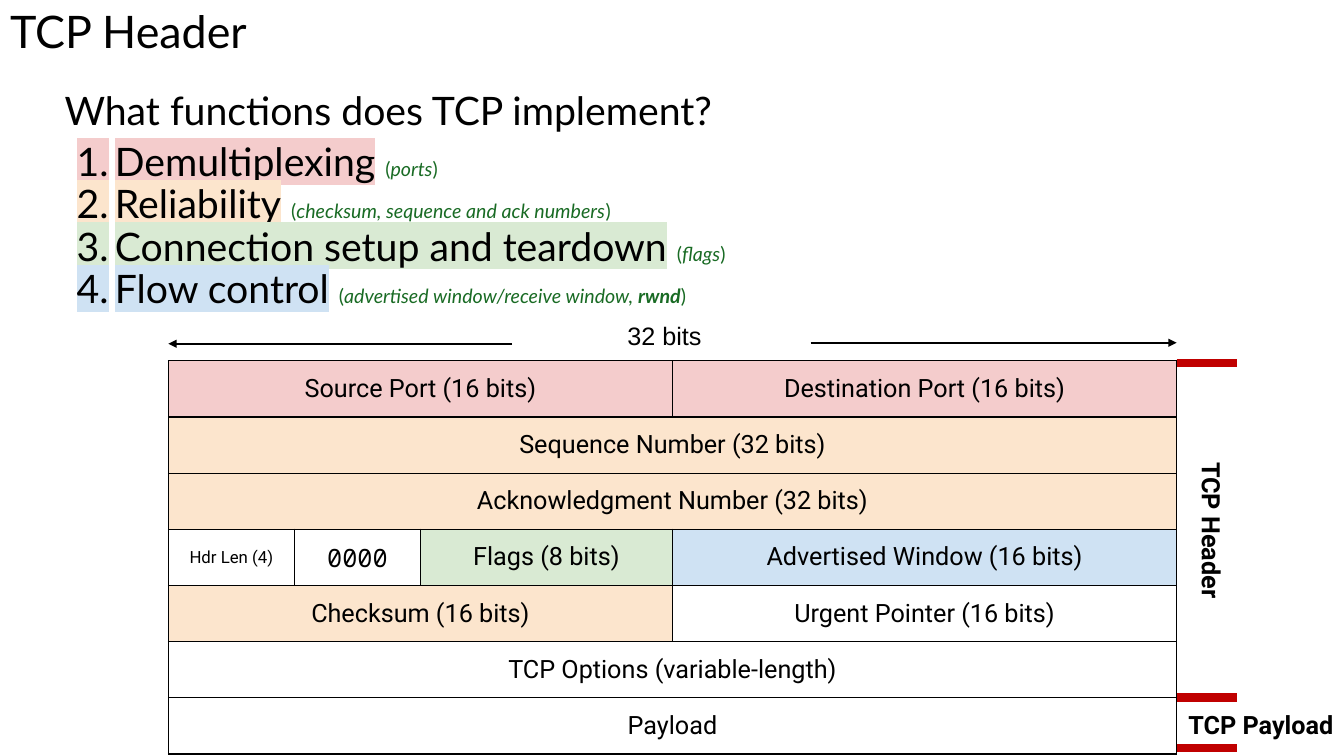
import dataclasses

import lxml.etree
import pptx
import pptx.dml.color
import pptx.enum.shapes
import pptx.enum.text
import pptx.oxml.ns
import pptx.presentation
import pptx.shapes.autoshape
import pptx.slide
import pptx.table
import pptx.text.text
import pptx.util

Inches = pptx.util.Inches
Pt = pptx.util.Pt
RGBColor = pptx.dml.color.RGBColor
Align = pptx.enum.text.PP_ALIGN
Anchor = pptx.enum.text.MSO_ANCHOR
Fit = pptx.enum.text.MSO_AUTO_SIZE
qn = pptx.oxml.ns.qn

BLACK = RGBColor(0x00, 0x00, 0x00)
PINK = RGBColor(0xF4, 0xCC, 0xCC)
PEACH = RGBColor(0xFC, 0xE5, 0xCD)
MINT = RGBColor(0xD9, 0xEA, 0xD3)
SKY = RGBColor(0xCF, 0xE2, 0xF3)
GREEN = RGBColor(0x19, 0x6B, 0x24)
RED = RGBColor(0xC0, 0x00, 0x00)

LEFT, TOP, WIDTH, HEIGHT = 1.67, 3.58, 10, 3.9
RIGHT = LEFT + WIDTH
EDGES = [0, 4, 8, 16, 32]  # bit offsets of the column borders


@dataclasses.dataclass
class Task:
    name: str
    note: str
    tint: RGBColor
    bold: str = ""


@dataclasses.dataclass
class Field:
    text: str
    bits: int
    tint: RGBColor | None = None
    size: int = 18
    font: str = "Roboto"


@dataclasses.dataclass
class Label:
    text: str
    box: tuple[float, float, float, float]
    font: str = "Roboto"
    bold: bool = True
    wrap: bool = True
    inset: float = 0.1
    turn: int = 0


@dataclasses.dataclass
class Line:
    start: tuple[float, float]
    end: tuple[float, float]
    color: RGBColor = RED
    width: float = 6
    arrow: bool = False


TASKS = [
    Task("Demultiplexing", "ports", PINK),
    Task("Reliability", "checksum, sequence and ack numbers", PEACH),
    Task("Connection setup and teardown", "flags", MINT),
    Task("Flow control", "advertised window/receive window, ", SKY, "rwnd"),
]
ROWS = [
    [Field("Source Port (16 bits)", 16, PINK), Field("Destination Port (16 bits)", 16, PINK)],
    [Field("Sequence Number (32 bits)", 32, PEACH)],
    [Field("Acknowledgment Number (32 bits)", 32, PEACH)],
    [Field("Hdr Len (4)", 4, size=12), Field("0000", 4, font="Noto Sans Mono"),
     Field("Flags (8 bits)", 8, MINT), Field("Advertised Window (16 bits)", 16, SKY)],
    [Field("Checksum (16 bits)", 16, PEACH), Field("Urgent Pointer (16 bits)", 16)],
    [Field("TCP Options (variable-length)", 32)],
    [Field("Payload", 32)],
]
LABELS = [
    Label("32 bits", (5.5, 3.13, 2.18, 0.4), "Arial", False, False, 0.05),
    Label("TCP Header", (11.22, 5.01, 1.6, 0.5), turn=90),
    Label("TCP Payload", (RIGHT, 6.94, 1.67, 0.5)),
]
LINES = [
    Line((8.04, 3.4), (RIGHT, 3.4), BLACK, 1.5, True),
    Line((5.08, 3.41), (LEFT, 3.41), BLACK, 1.5, True),
] + [Line((RIGHT, y), (RIGHT + 0.6, y)) for y in (3.6, 6.92, 7.42)]


def style(run: pptx.text.text._Run, size: int, font: str = "Lato",
          color: RGBColor = BLACK, bold: bool = False, slant: bool = False) -> None:
    run.font.size = Pt(size)
    run.font.name = font
    run.font.color.rgb = color
    run.font.bold = bold
    run.font.italic = slant


def mark(run: pptx.text.text._Run, tint: RGBColor) -> None:
    """Highlight a run that already has a colour."""
    light = lxml.etree.Element(qn("a:highlight"))
    lxml.etree.SubElement(light, qn("a:srgbClr"), val=str(tint))
    run.font._element.find(qn("a:solidFill")).addnext(light)


def place(shape: pptx.shapes.autoshape.Shape, box: tuple[float, float, float, float]) -> None:
    shape.left, shape.top, shape.width, shape.height = map(Inches, box)


def pad(frame: pptx.text.text.TextFrame | pptx.table._Cell, inset: float) -> None:
    frame.margin_left = frame.margin_right = Inches(inset)
    frame.margin_top = frame.margin_bottom = Inches(inset)


def set_up(shape: pptx.shapes.autoshape.Shape, box: tuple[float, float, float, float],
           text: str, size: int) -> pptx.text.text.TextFrame:
    """Move a placeholder and write its first line."""
    place(shape, box)
    frame = shape.text_frame
    frame.text = text
    frame.auto_size = Fit.NONE
    frame.vertical_anchor = Anchor.TOP
    pad(frame, 0.1)
    line = frame.paragraphs[0]
    line.alignment = Align.LEFT
    line.line_spacing = 0.9
    style(line.runs[0], size)
    return frame


def add_task(frame: pptx.text.text.TextFrame, task: Task, space: int) -> None:
    line = frame.add_paragraph()
    line.text = task.name
    line.line_spacing = 0.9
    line.space_before = Pt(space)
    props = line._p.get_or_add_pPr()
    props.set("marL", str(Inches(0.5)))
    props.set("indent", str(Inches(-0.38)))
    lxml.etree.SubElement(props, qn("a:buFont"), typeface="Lato")
    lxml.etree.SubElement(props, qn("a:buAutoNum"), type="arabicPeriod")
    style(line.runs[0], 28)
    mark(line.runs[0], task.tint)
    gap = line.add_run()
    gap.text = " "
    style(gap, 28)
    for text in filter(None, ("(", task.note, task.bold, ")")):
        run = line.add_run()
        run.text = text
        style(run, 14, color=GREEN, bold=text == task.bold, slant=text not in "()")


def frame_cell(cell: pptx.table._Cell) -> None:
    """Give a cell a thin black border on each side."""
    props = cell._tc.get_or_add_tcPr()
    for side in ("lnL", "lnR", "lnT", "lnB"):
        edge = lxml.etree.SubElement(props, qn(f"a:{side}"), w=str(Pt(1)))
        fill = lxml.etree.SubElement(edge, qn("a:solidFill"))
        lxml.etree.SubElement(fill, qn("a:srgbClr"), val=str(BLACK))


def fill_cell(cell: pptx.table._Cell, field: Field) -> None:
    cell.text_frame.text = field.text
    cell.vertical_anchor = Anchor.MIDDLE
    pad(cell, 0.03)
    line = cell.text_frame.paragraphs[0]
    line.alignment = Align.CENTER
    style(line.runs[0], field.size, field.font)
    if field.tint:
        cell.fill.solid()
        cell.fill.fore_color.rgb = field.tint


def add_grid(slide: pptx.slide.Slide) -> None:
    grid = slide.shapes.add_table(len(ROWS), len(EDGES) - 1, Inches(LEFT), Inches(TOP),
                                  Inches(WIDTH), Inches(HEIGHT)).table
    grid.first_row = grid.horz_banding = False
    for col, first, last in zip(grid.columns, EDGES, EDGES[1:]):
        col.width = Inches(WIDTH * (last - first) / EDGES[-1])
    for cell in grid.iter_cells():
        frame_cell(cell)
        cell.fill.background()
    for row, fields in enumerate(ROWS):
        bit = 0
        for field in fields:
            cell = grid.cell(row, EDGES.index(bit))
            bit += field.bits
            last = grid.cell(row, EDGES.index(bit) - 1)
            if cell != last:
                cell.merge(last)
            fill_cell(cell, field)


def add_label(slide: pptx.slide.Slide, label: Label) -> None:
    shape = slide.shapes.add_textbox(*map(Inches, label.box))
    shape.rotation = label.turn
    frame = shape.text_frame
    frame.text = label.text
    frame.word_wrap = label.wrap
    pad(frame, label.inset)
    frame.paragraphs[0].alignment = Align.CENTER
    style(frame.paragraphs[0].runs[0], 18, label.font, bold=label.bold)


def add_line(slide: pptx.slide.Slide, line: Line) -> None:
    link = slide.shapes.add_connector(pptx.enum.shapes.MSO_CONNECTOR.STRAIGHT,
                                      *map(Inches, line.start + line.end))
    link.line.color.rgb = line.color
    link.line.width = Pt(line.width)
    props = link._element.spPr
    if line.arrow:
        lxml.etree.SubElement(props.find(qn("a:ln")), qn("a:tailEnd"), type="triangle")
    lxml.etree.SubElement(props, qn("a:effectLst"))


def main() -> None:
    deck = pptx.Presentation()
    deck.slide_width, deck.slide_height = Inches(13.33), Inches(7.5)
    slide = deck.slides.add_slide(deck.slide_layouts[1])
    set_up(slide.shapes.title, (0, 0, 13.33, 0.9), "TCP Header", 32)
    body = set_up(slide.placeholders[1], (0.54, 0.81, 9.74, 2.67),
                  "What functions does TCP implement?", 28)
    head = body.paragraphs[0]
    head.space_before = Pt(6)
    props = head._p.get_or_add_pPr()
    props.set("marL", "0")
    props.set("indent", "0")
    lxml.etree.SubElement(props, qn("a:buNone"))
    for rank, task in enumerate(TASKS):
        add_task(body, task, 0 if rank else 6)
    add_grid(slide)
    for label in LABELS:
        add_label(slide, label)
    for line in LINES:
        add_line(slide, line)
    deck.save("out.pptx")


if __name__ == "__main__":
    main()
